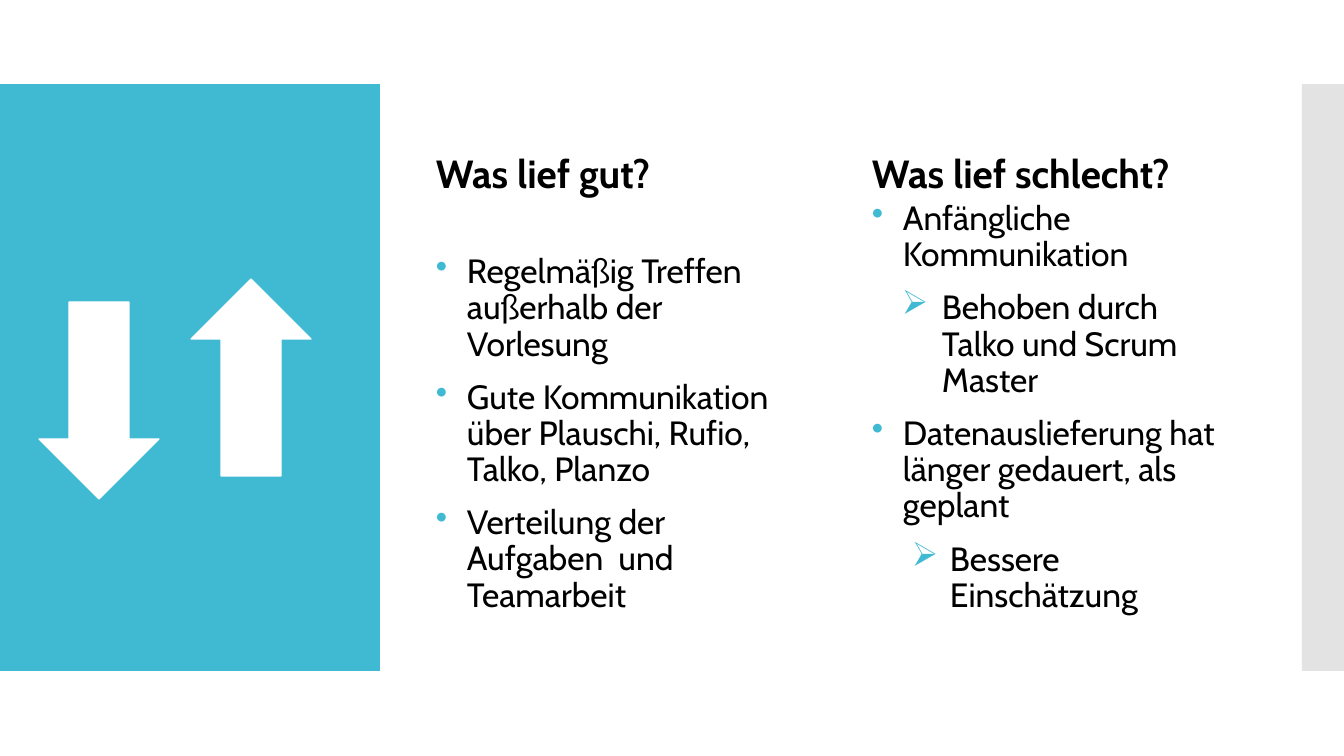
import pptx
import pptx.util
import pptx.dml.color
import pptx.enum.shapes
import pptx.enum.text
import pptx.oxml
import pptx.oxml.ns

SCALE = 914400 / 100.8
RGB = pptx.dml.color.RGBColor
TEAL = RGB(0x40, 0xBA, 0xD2)
GREY = RGB(0xC8, 0xC8, 0xC8)
WHITE = RGB(0xFF, 0xFF, 0xFF)
BLACK = RGB(0x00, 0x00, 0x00)
SHAPE = pptx.enum.shapes.MSO_SHAPE
ANCHOR = pptx.enum.text.MSO_ANCHOR
Pt = pptx.util.Pt
HEAD = {"name": "Cabin", "size": Pt(28), "bold": True}
BODY = {"name": "Cabin", "size": Pt(24), "bold": False}

# Each item: bullet, left margin and hanging indent in px, wording
GOOD = [
    ("•", 31, 31, "Regelmäßig Treffen außerhalb der Vorlesung"),
    ("•", 31, 31, "Gute Kommunikation über Plauschi, Rufio, Talko, Planzo"),
    ("•", 31, 31, "Verteilung der Aufgaben  und Teamarbeit"),
]
BAD = [
    ("•", 31, 31, "Anfängliche Kommunikation"),
    ("➢", 70, 40, "Behoben durch Talko und Scrum Master"),
    ("•", 31, 31, "Datenauslieferung hat länger gedauert, als geplant"),
    ("➢", 78, 38, "Bessere Einschätzung"),
]


def px(n):
    return pptx.util.Emu(round(n * SCALE))


def style(item, form):
    """Set each named format value on the item."""
    for key, value in form.items():
        setattr(item, key, value)


def block(slide, kind, box, color):
    """Add a plain filled shape without outline or shadow."""
    shape = slide.shapes.add_shape(kind, *map(px, box))
    shape.shadow.inherit = False
    shape.fill.solid()
    shape.fill.fore_color.rgb = color
    shape.line.fill.background()
    return shape


def frame(slide, box, anchor):
    text = slide.shapes.add_textbox(*map(px, box)).text_frame
    style(text, {"word_wrap": True, "vertical_anchor": anchor})
    return text


def write(para, words, form):
    para.line_spacing = 0.9
    run = para.add_run()
    run.text = words
    style(run.font, form)
    run.font.color.rgb = BLACK


def bullet(para, mark, left, hang):
    """Give the paragraph a teal bullet and a hanging indent."""
    props = para._p.get_or_add_pPr()
    props.set("marL", str(px(left)))
    props.set("indent", str(px(-hang)))
    space = pptx.oxml.ns.nsdecls("a")
    for xml in (
        f'<a:buClr {space}><a:srgbClr val="{TEAL}"/></a:buClr>',
        f'<a:buChar {space} char="{mark}"/>',
    ):
        props.append(pptx.oxml.parse_xml(xml))


def panel(slide, box):
    """Draw the teal panel with its down and up arrows."""
    left, top, _, _ = box
    block(slide, SHAPE.RECTANGLE, box, TEAL)
    for dx, dy, turn in ((39, 218, 0), (191, 195, 180)):
        arrow = block(slide, SHAPE.DOWN_ARROW, (left + dx, top + dy, 120, 197), WHITE)
        arrow.rotation = turn
        arrow.line.color.rgb = WHITE
        arrow.line.width = Pt(0.85)


def strip(slide, box):
    """Draw the half-transparent strip at the right edge."""
    bar = block(slide, SHAPE.RECTANGLE, box, GREY)
    tint = bar._element.spPr.find(".//" + pptx.oxml.ns.qn("a:srgbClr"))
    space = pptx.oxml.ns.nsdecls("a")
    tint.append(pptx.oxml.parse_xml(f'<a:alpha {space} val="50000"/>'))


def column(slide, box, title, items, foot):
    """Place a heading over a bullet list; foot is the list's bottom inset."""
    left, top, width, height = box
    head = frame(slide, (left, top, width, 89), ANCHOR.BOTTOM)
    write(head.paragraphs[0], title, HEAD)
    text = frame(slide, (left, top + 100, width, height - 100), ANCHOR.MIDDLE)
    text.margin_bottom = px(foot)
    for i, (mark, indent, hang, words) in enumerate(items):
        para = text.add_paragraph() if i else text.paragraphs[0]
        write(para, words, BODY)
        para.space_before = Pt(12)
        bullet(para, mark, indent, hang)


def main():
    deck = pptx.Presentation()
    deck.slide_width, deck.slide_height = px(1344), px(756)
    slide = deck.slides.add_slide(deck.slide_layouts[6])
    panel(slide, (0, 84, 380, 587))
    strip(slide, (1302, 84, 42, 587))
    column(slide, (426, 113, 383, 543), "Was lief gut?", GOOD, 5)
    column(slide, (862, 113, 383, 543), "Was lief schlecht?", BAD, 58)
    deck.save("out.pptx")


if __name__ == "__main__":
    main()
